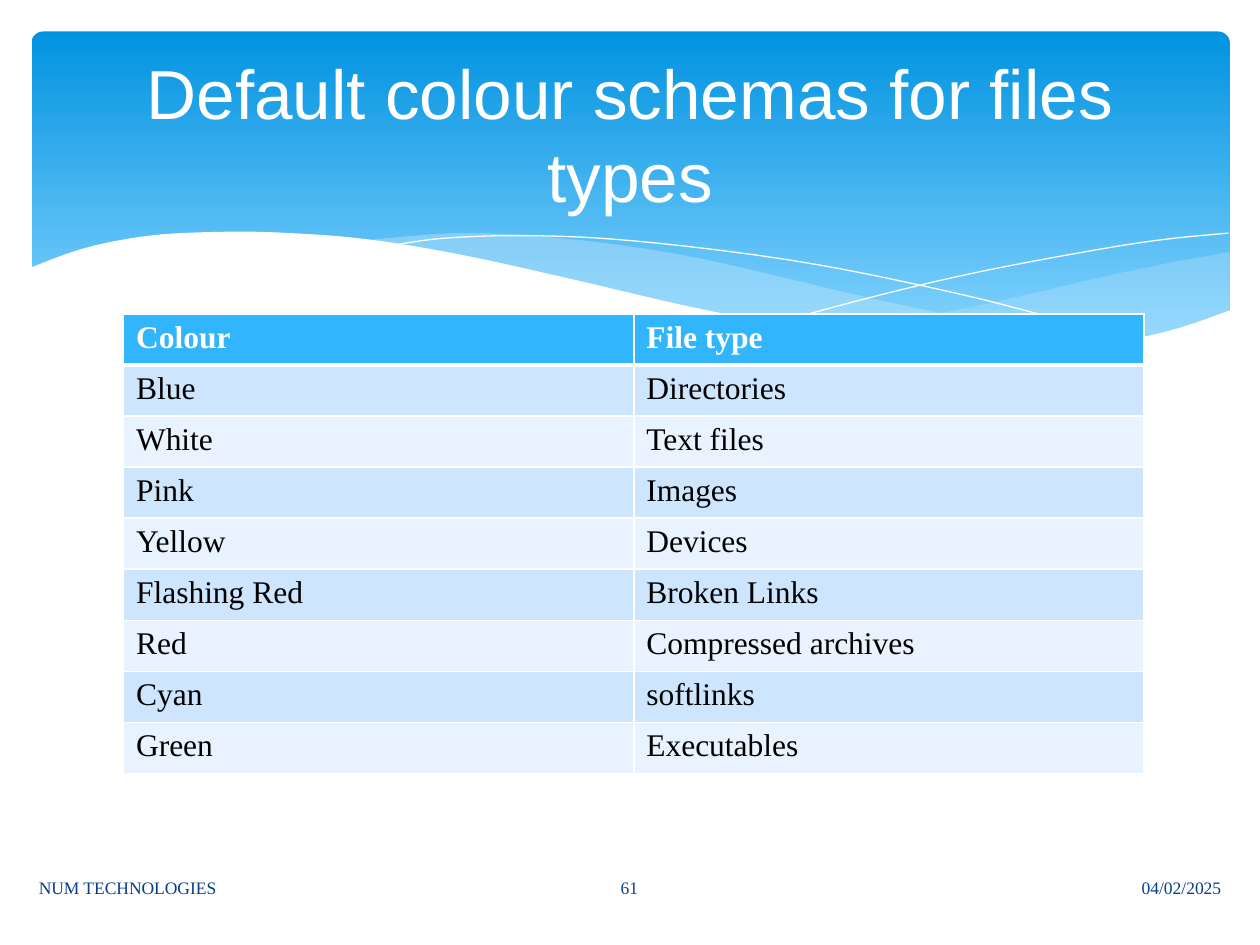
from dataclasses import dataclass
from typing import Optional

from lxml import etree
from pptx import Presentation
from pptx.dml.color import RGBColor
from pptx.enum import shapes, text
from pptx.oxml import ns
from pptx.util import Inches, Pt

Point = tuple[float, float]
SERIF = "Times New Roman"
WHITE = "FFFFFF"


@dataclass
class Wave:
    edges: list[list[Point]]
    fill: Optional[str] = None
    opacity: int = 100


@dataclass
class Label:
    wording: str
    left: float
    top: float
    width: float
    height: float
    align: text.PP_ALIGN
    size: float = 10
    font: str = SERIF
    color: str = "073E87"


WAVES = [
    Wave([[(9.76, 2), (9.21, 2.1), (8.61, 2.23), (7.79, 2.42), (6.61, 2.65)],
          [(6.61, 2.65), (7.32, 2.74), (8.03, 2.78), (8.72, 2.74),
           (9.28, 2.63), (9.76, 2.47)]], "C6E7FC", 29),
    Wave([[(8.93, 2.73), (8.07, 2.6), (7.06, 2.4), (6.29, 2.22), (5.55, 2.05),
           (4.89, 1.94), (4.2, 1.87), (3.61, 1.85), (2.86, 1.91)],
          [(2.86, 1.91), (3.62, 2.03), (4.49, 2.22), (5.3, 2.4), (6.01, 2.55),
           (6.8, 2.68), (7.48, 2.76), (8.18, 2.78), (8.93, 2.73)]],
         "C6E7FC", 40),
    Wave([[(3.09, 1.95), (3.53, 1.89), (4.16, 1.87), (4.89, 1.9), (5.82, 2),
           (6.65, 2.13), (7.6, 2.33), (8.31, 2.51), (9.07, 2.72)]]),
    Wave([[(6.13, 2.57), (6.95, 2.35), (7.76, 2.16), (8.66, 1.99),
           (9.24, 1.9), (9.75, 1.85)]]),
    Wave([[(9.77, 2.46), (9.3, 2.62), (8.75, 2.73), (8.09, 2.77),
           (7.26, 2.72), (6.48, 2.62), (5.55, 2.45), (4.47, 2.2),
           (3.65, 2.02), (2.92, 1.9), (2.3, 1.85), (1.77, 1.84),
           (1.19, 1.87), (0.67, 1.97), (0.23, 2.13)],
          [(0.23, 3.29), (9.77, 3.29)]], WHITE),
]

FILE_TYPES = [
    ("Colour", "File type"),
    ("Blue", "Directories"),
    ("White", "Text files"),
    ("Pink", "Images"),
    ("Yellow", "Devices"),
    ("Flashing Red", "Broken Links"),
    ("Red", "Compressed archives"),
    ("Cyan", "softlinks"),
    ("Green", "Executables"),
]

LABELS = [
    Label("04/02/2025", 5.65, 6.84, 4.14, 0.4, text.PP_ALIGN.RIGHT),
    Label("NUM TECHNOLOGIES", 0.21, 6.84, 4.14, 0.4, text.PP_ALIGN.LEFT),
    Label("61", 4.36, 6.84, 1.27, 0.4, text.PP_ALIGN.CENTER),
    Label("Default colour schemas for files types", 0.5, 0.37, 9, 1.37,
          text.PP_ALIGN.CENTER, 39.6, "Arial", WHITE),
]


def rgb(color: str) -> RGBColor:
    return RGBColor.from_string(color)


def smooth(anchors: list[Point], steps: int = 6) -> list[Point]:
    if len(anchors) < 3:
        return anchors
    padded = [anchors[0], *anchors, anchors[-1]]
    curve = [anchors[0]]
    for a, b, c, d in zip(padded, padded[1:], padded[2:], padded[3:]):
        for step in range(1, steps + 1):
            t = step / steps
            x, y = (
                (2 * q + (r - p) * t + (2 * p - 5 * q + 4 * r - s) * t ** 2
                 + (3 * q - p - 3 * r + s) * t ** 3) / 2
                for p, q, r, s in zip(a, b, c, d)
            )
            curve.append((x, y))
    return curve


def draw_banner(slide) -> None:
    banner = slide.shapes.add_shape(
        shapes.MSO_SHAPE.ROUNDED_RECTANGLE,
        Inches(0.25), Inches(0.25), Inches(9.51), Inches(2.7))
    banner.adjustments[0] = 0.034
    banner.shadow.inherit = False
    banner.line.fill.background()
    banner.fill.gradient()
    banner.fill.gradient_angle = 270
    stops = [(0, "0293E0"), (0.9, "83D3FE")]
    for stop, (position, color) in zip(banner.fill.gradient_stops, stops):
        stop.position = position
        stop.color.rgb = rgb(color)


def draw_wave(slide, wave: Wave) -> None:
    outline = [(Inches(x), Inches(y))
               for edge in wave.edges for x, y in smooth(edge)]
    builder = slide.shapes.build_freeform(*outline[0])
    builder.add_line_segments(outline[1:], close=wave.fill is not None)
    ribbon = builder.convert_to_shape()
    ribbon.shadow.inherit = False
    if wave.fill is None:
        ribbon.fill.background()
        ribbon.line.color.rgb = rgb(WHITE)
        ribbon.line.width = Pt(0)
        return
    ribbon.line.fill.background()
    ribbon.fill.solid()
    ribbon.fill.fore_color.rgb = rgb(wave.fill)
    if wave.opacity < 100:
        tint = ribbon.fill._xPr.find(".//" + ns.qn("a:srgbClr"))
        etree.SubElement(tint, ns.qn("a:alpha"), val=str(wave.opacity * 1000))


def add_border(cell, side: str, width: float) -> None:
    border = etree.SubElement(cell._tc.get_or_add_tcPr(), ns.qn(f"a:ln{side}"),
                              w=str(Pt(width)))
    solid = etree.SubElement(border, ns.qn("a:solidFill"))
    etree.SubElement(solid, ns.qn("a:srgbClr"), val=WHITE)


def draw_table(slide) -> None:
    table = slide.shapes.add_table(
        len(FILE_TYPES), 2,
        Inches(0.98), Inches(2.49), Inches(8.1), Inches(3.65)).table
    for row, entry in enumerate(FILE_TYPES):
        header = row == 0
        band = "31B6FD" if header else ("E8F3FF", "CEE5FE")[row % 2]
        for column, wording in enumerate(entry):
            cell = table.cell(row, column)
            for side in "LRTB":
                heavy = (row, side) in ((0, "B"), (1, "T"))
                add_border(cell, side, 3 if heavy else 1)
            cell.fill.solid()
            cell.fill.fore_color.rgb = rgb(band)
            cell.text = wording
            font = cell.text_frame.paragraphs[0].font
            font.name = SERIF
            font.size = Pt(18)
            font.bold = header
            font.color.rgb = rgb(WHITE if header else "000000")


def draw_label(slide, label: Label) -> None:
    frame = slide.shapes.add_textbox(
        Inches(label.left), Inches(label.top),
        Inches(label.width), Inches(label.height)).text_frame
    frame.word_wrap = True
    frame.vertical_anchor = text.MSO_ANCHOR.MIDDLE
    paragraph = frame.paragraphs[0]
    paragraph.text = label.wording
    paragraph.alignment = label.align
    paragraph.font.name = label.font
    paragraph.font.size = Pt(label.size)
    paragraph.font.color.rgb = rgb(label.color)


def main() -> None:
    deck = Presentation()
    deck.slide_width = Inches(10)
    deck.slide_height = Inches(7.5)
    slide = deck.slides.add_slide(deck.slide_layouts[6])
    draw_banner(slide)
    for wave in WAVES:
        draw_wave(slide, wave)
    draw_table(slide)
    for label in LABELS:
        draw_label(slide, label)
    deck.save("out.pptx")


if __name__ == "__main__":
    main()
